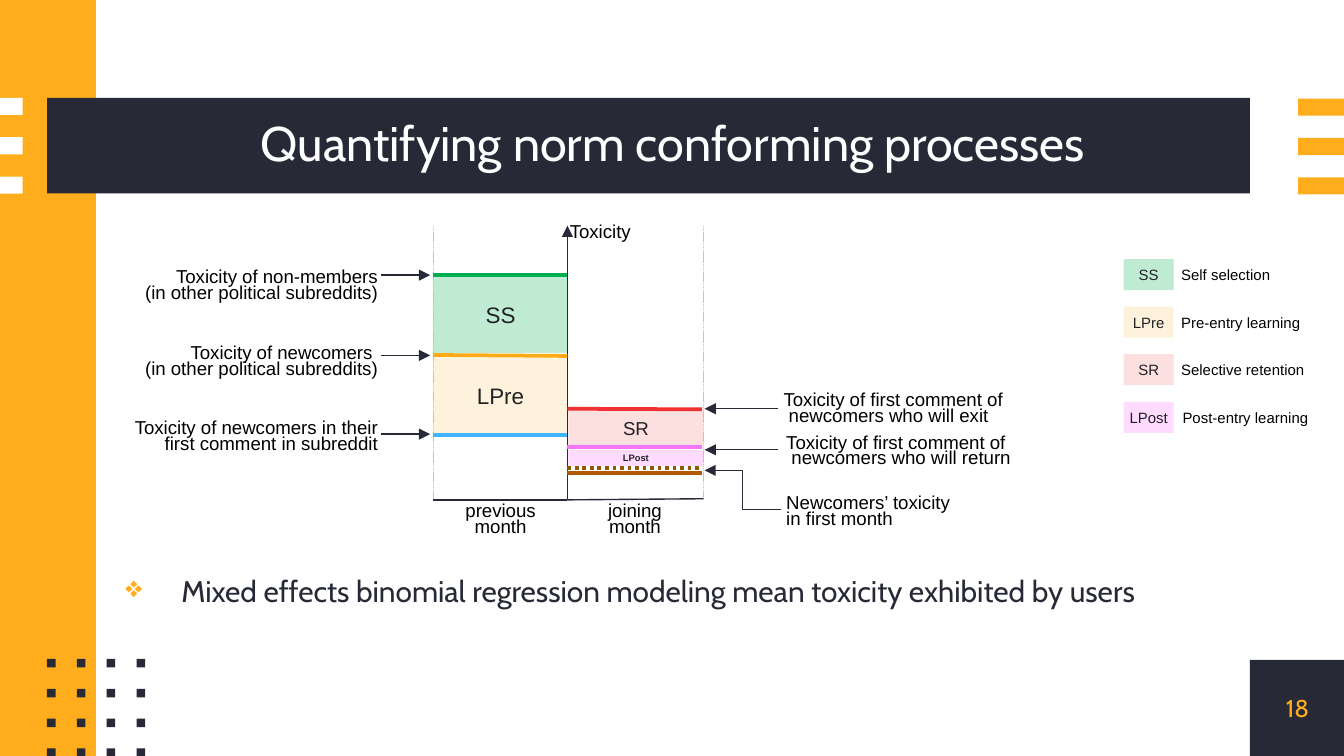
from dataclasses import dataclass
from itertools import product

from lxml import etree
from pptx import Presentation
from pptx import util as u
from pptx.dml.color import RGBColor
from pptx.enum import dml, shapes, text
from pptx.oxml import ns


@dataclass(frozen=True)
class Theme:
    navy: str = "272A36"
    orange: str = "FFAD1D"
    white: str = "FFFFFF"
    black: str = "000000"
    ink: str = "202125"
    grey: str = "C4C4C4"
    green: str = "00B050"
    cream: str = "FFCE77"
    pink: str = "F68383"
    magenta: str = "FF74FF"
    amber: str = "FFAB17"
    blue: str = "41B5FF"
    red: str = "F03131"
    violet: str = "F575FB"
    olive: str = "8E5A00"
    brown: str = "B05900"
    heading_font: str = "Cabin"
    label_font: str = "Arial"
    title: float = 26
    body: float = 16
    number: float = 13
    segment: float = 12
    label: float = 10
    legend: float = 8
    tiny: float = 5


ALIGN = text.PP_ALIGN
DASH = dml.MSO_LINE


class Painter:
    """Holds the theme and the current slide."""

    def __init__(self, slide, theme):
        self.slide, self.theme = slide, theme

    def xml(self, parent, tag, **attributes):
        return etree.SubElement(parent, ns.qn(tag), **attributes)

    def set_text(self, shape, lines, size, color, font=None, align=ALIGN.LEFT,
                 spacing=1.0, bold=False, anchor=text.MSO_ANCHOR.TOP,
                 wrap=True, inset=(0, 0)):
        frame = shape.text_frame
        frame.auto_size = text.MSO_AUTO_SIZE.NONE
        frame.word_wrap = wrap
        frame.vertical_anchor = anchor
        frame.margin_left = frame.margin_right = u.Pt(inset[0])
        frame.margin_top = frame.margin_bottom = u.Pt(inset[1])
        frame.text = "\n".join(lines)
        for paragraph in frame.paragraphs:
            paragraph.alignment = align
            paragraph.line_spacing = spacing
            paragraph.font.name = font or self.theme.label_font
            paragraph.font.size = u.Pt(size)
            paragraph.font.bold = bold
            paragraph.font.color.rgb = RGBColor.from_string(color)

    def title(self, words, left, top, width, height):
        title = self.slide.shapes.title
        title.left, title.top = u.Pt(left), u.Pt(top)
        title.width, title.height = u.Pt(width), u.Pt(height)
        self.set_text(title, [words], self.theme.title, self.theme.white,
                      self.theme.heading_font, ALIGN.CENTER, 0.9,
                      anchor=text.MSO_ANCHOR.MIDDLE)
        # Bring the title in front of its band
        title.element.getparent().append(title.element)

    def block(self, left, top, width, height, color, opacity=100):
        box = self.slide.shapes.add_shape(
            shapes.MSO_SHAPE.RECTANGLE, u.Pt(left), u.Pt(top), u.Pt(width), u.Pt(height))
        box.shadow.inherit = False
        box.fill.solid()
        box.fill.fore_color.rgb = RGBColor.from_string(color)
        box.line.fill.background()
        if opacity < 100:
            tint = box.element.spPr.find(".//" + ns.qn("a:srgbClr"))
            self.xml(tint, "a:alpha", val=str(opacity * 1000))
        return box

    def segment(self, left, top, width, height, color, name, size, bold=False):
        box = self.block(left, top, width, height, color, opacity=25)
        self.set_text(box, [name], size, self.theme.ink, align=ALIGN.CENTER,
                      bold=bold, anchor=text.MSO_ANCHOR.MIDDLE)

    def label(self, left, top, width, height, lines, size, color=None, **style):
        box = self.slide.shapes.add_textbox(
            u.Pt(left), u.Pt(top), u.Pt(width), u.Pt(height))
        self.set_text(box, lines, size, color or self.theme.black, **style)
        return box

    def bullet(self, left, top, width, height, words):
        box = self.label(left, top, width, height, [words], self.theme.body,
                         self.theme.navy, font=self.theme.heading_font, spacing=1.15)
        paragraph = box.text_frame.paragraphs[0]
        paragraph.space_before = u.Pt(6)
        settings = paragraph._p.get_or_add_pPr()
        settings.set("marL", str(u.Pt(36)))
        settings.set("indent", str(u.Pt(-30)))
        mark = etree.Element(ns.qn("a:buClr"))
        self.xml(mark, "a:srgbClr", val=self.theme.orange)
        sign = etree.Element(ns.qn("a:buChar"), char="❖")
        # Bullet settings come between spacing and default run properties
        spot = settings.find(ns.qn("a:defRPr"))
        spot.addprevious(mark)
        spot.addprevious(sign)

    def line(self, start, end, color=None, width=0.75, dash=None, arrow=False,
             kind=shapes.MSO_CONNECTOR.STRAIGHT):
        link = self.slide.shapes.add_connector(
            kind, *(u.Pt(value) for value in (*start, *end)))
        link.line.color.rgb = RGBColor.from_string(color or self.theme.navy)
        link.line.width = u.Pt(width)
        if dash:
            link.line.dash_style = dash
        if arrow:
            self.xml(link.element.spPr.find(ns.qn("a:ln")), "a:tailEnd", type="triangle")
        self.xml(link.element.spPr, "a:effectLst")


def draw_frame(painter):
    theme = painter.theme
    # Page number corner, side bar and title band
    painter.block(669.6, 353.5, 51, 51.5, theme.navy)
    painter.block(0, 0, 51.4, 405, theme.orange)
    painter.block(25.2, 52.4, 644.4, 51.3, theme.navy)
    # Stripes on both edges
    for row in range(3):
        painter.block(0, 52.4 + 21.1 * row, 12.2, 9.2, theme.white)
        painter.block(695.5, 52.8 + 21.1 * row, 24.5, 9.2, theme.orange)
    # Dot grid
    for column, row in product(range(4), repeat=2):
        painter.block(25.2 + 16 * column, 353 + 16 * row, 4.6, 4.6, theme.navy)
    painter.title("Quantifying norm conforming processes", 51.8, 52.4, 617.8, 51.3)
    painter.label(669.6, 353.5, 51, 51.5, ["18"], theme.number, theme.orange,
                  font=theme.heading_font, align=ALIGN.CENTER,
                  anchor=text.MSO_ANCHOR.MIDDLE)


def draw_chart(painter):
    theme = painter.theme
    left, middle, right, top, base = 232, 304, 376.8, 121, 267.8
    # Toxicity bands
    for x, y, height, color, name, size, bold in (
            (left, 148.3, 41, theme.green, "SS", theme.segment, False),
            (left, 191.5, 41, theme.cream, "LPre", theme.segment, False),
            (middle + 0.5, 219.8, 19.4, theme.pink, "SR", theme.label, False),
            (middle + 0.5, 241.2, 8.6, theme.magenta, "LPost", theme.tiny, True)):
        painter.segment(x, y, 72.4, height, color, name, size, bold)
    # Axes and guides
    for x in (left, right):
        painter.line((x, top), (x, base), theme.grey, 0.25, DASH.SQUARE_DOT)
    painter.line((left, base), (middle, base))
    painter.line((middle, base), (right, base - 0.6))
    painter.line((middle, base), (middle, top), arrow=True)
    # Level lines
    for x, y, slope, color, dash in (
            (left, 147.4, 0, theme.green, None),
            (left, 190.2, 0.5, theme.amber, None),
            (left, 233, 0, theme.blue, None),
            (middle, 219, 0.3, theme.red, None),
            (middle, 239.5, 0, theme.violet, None),
            (middle, 250.6, 0, theme.olive, DASH.ROUND_DOT),
            (middle, 253.6, 0, theme.brown, None)):
        painter.line((x, y), (x + 72, y + slope), color, 2, dash)
    # Axis labels
    painter.label(305.3, top, 55, 8.6, ["Toxicity"], theme.label, spacing=0.7)
    for x, name in ((left, "previous"), (middle, "joining")):
        painter.label(x, 270.7, 72.4, 17.3, [name, "month"], theme.label,
                      align=ALIGN.CENTER, spacing=0.7)


def draw_callouts(painter):
    theme = painter.theme
    # Left callouts
    for y, arrow_y, lines in (
            (145.4, 147.4, ["Toxicity of non-members", "(in other political subreddits)"]),
            (185.8, 190.4, ["Toxicity of newcomers ", "(in other political subreddits)"]),
            (226, 232.6, ["Toxicity of newcomers in their first comment in subreddit"])):
        painter.label(61.2, y, 141.1, 17.3, lines, theme.label,
                      align=ALIGN.RIGHT, spacing=0.7)
        painter.line((204.3, arrow_y), (230.4, arrow_y), arrow=True)
    # Right callouts
    for x, y, width, lines in (
            (419.8, 211, 119.5, ["Toxicity of first comment of", " newcomers who will exit"]),
            (421.2, 234, 121.7, ["Toxicity of first comment of", " newcomers who will return"]),
            (421.2, 266.4, 92.2, ["Newcomers’ toxicity", "in first month"])):
        painter.label(x, y, width, 17.3, lines, theme.label, spacing=0.7, wrap=False)
    for y in (219, 241):
        painter.line((417, y), (377.5, y), arrow=True)
    painter.line((418.3, 273), (377.5, 252), arrow=True, kind=shapes.MSO_CONNECTOR.ELBOW)


def draw_legend(painter):
    theme = painter.theme
    for row, (name, meaning, color, x, width) in enumerate((
            ("SS", "Self selection", theme.green, 625.7, 62.6),
            ("LPre", "Pre-entry learning", theme.cream, 625.7, 79.2),
            ("SR", "Selective retention", theme.pink, 625.7, 81.4),
            ("LPost", "Post-entry learning", theme.magenta, 626.4, 82.8))):
        y = 138.8 + 25.5 * row
        painter.segment(602, y, 26.8, 16.6, color, name, theme.legend)
        painter.label(x, y, width, 17.3, [meaning], theme.legend,
                      wrap=False, inset=(7.2, 3.6))


def main():
    deck = Presentation()
    deck.slide_width, deck.slide_height = u.Pt(720), u.Pt(405)
    painter = Painter(deck.slides.add_slide(deck.slide_layouts[5]), Theme())
    draw_frame(painter)
    draw_chart(painter)
    draw_callouts(painter)
    draw_legend(painter)
    painter.bullet(61.2, 303.8, 574.6, 178,
                   "Mixed effects binomial regression modeling mean toxicity exhibited by users")
    deck.save("out.pptx")


if __name__ == "__main__":
    main()
